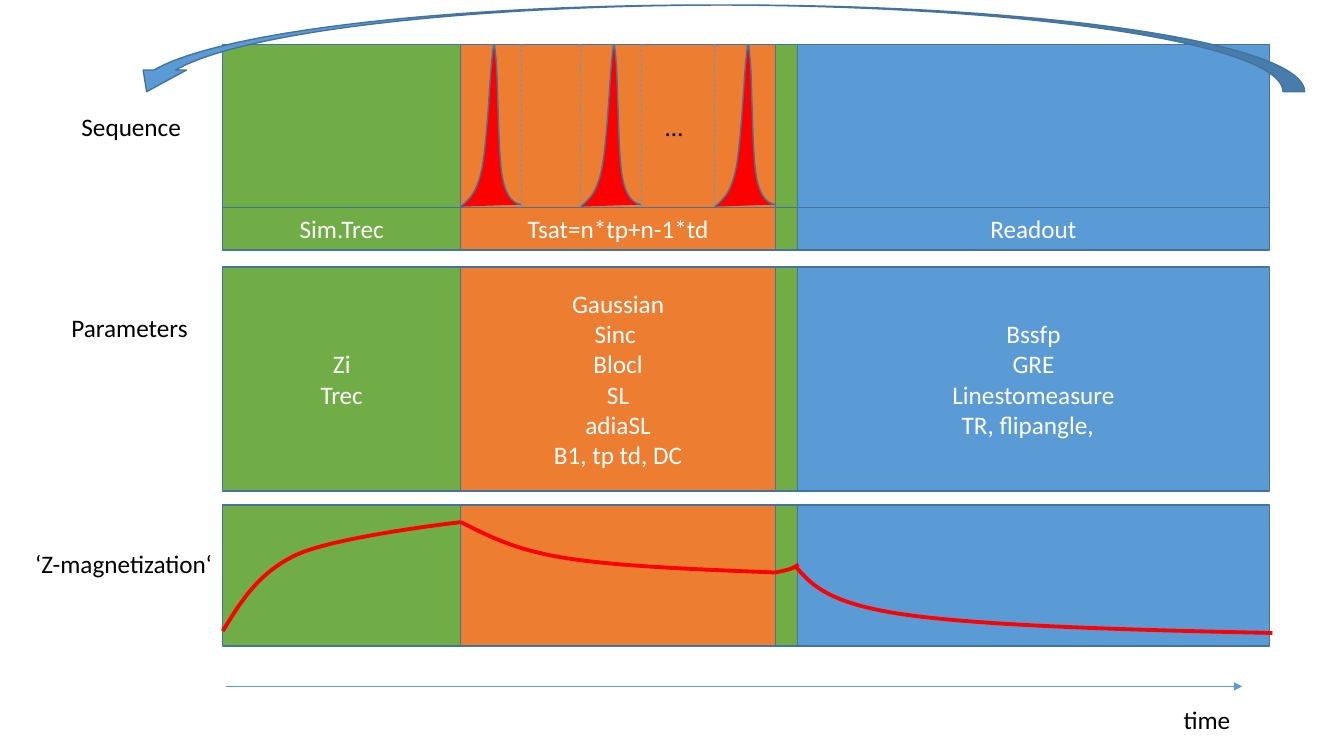
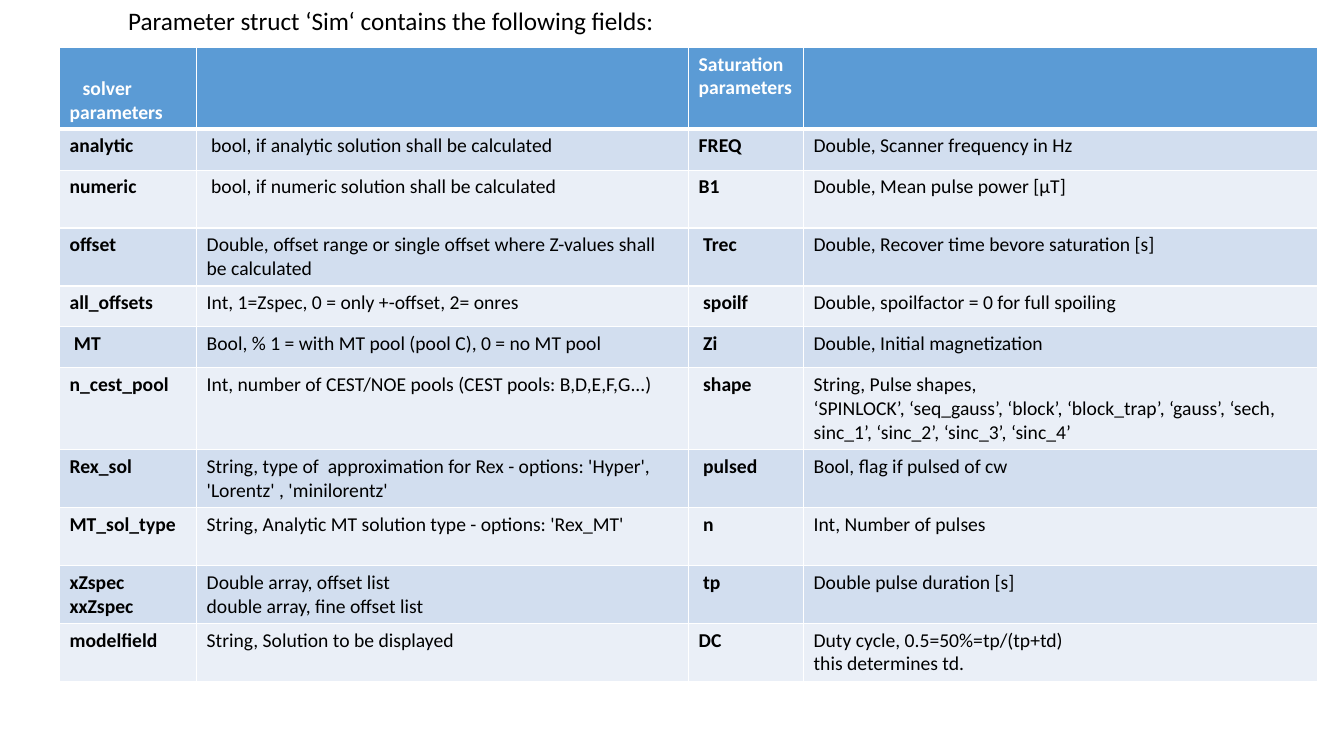
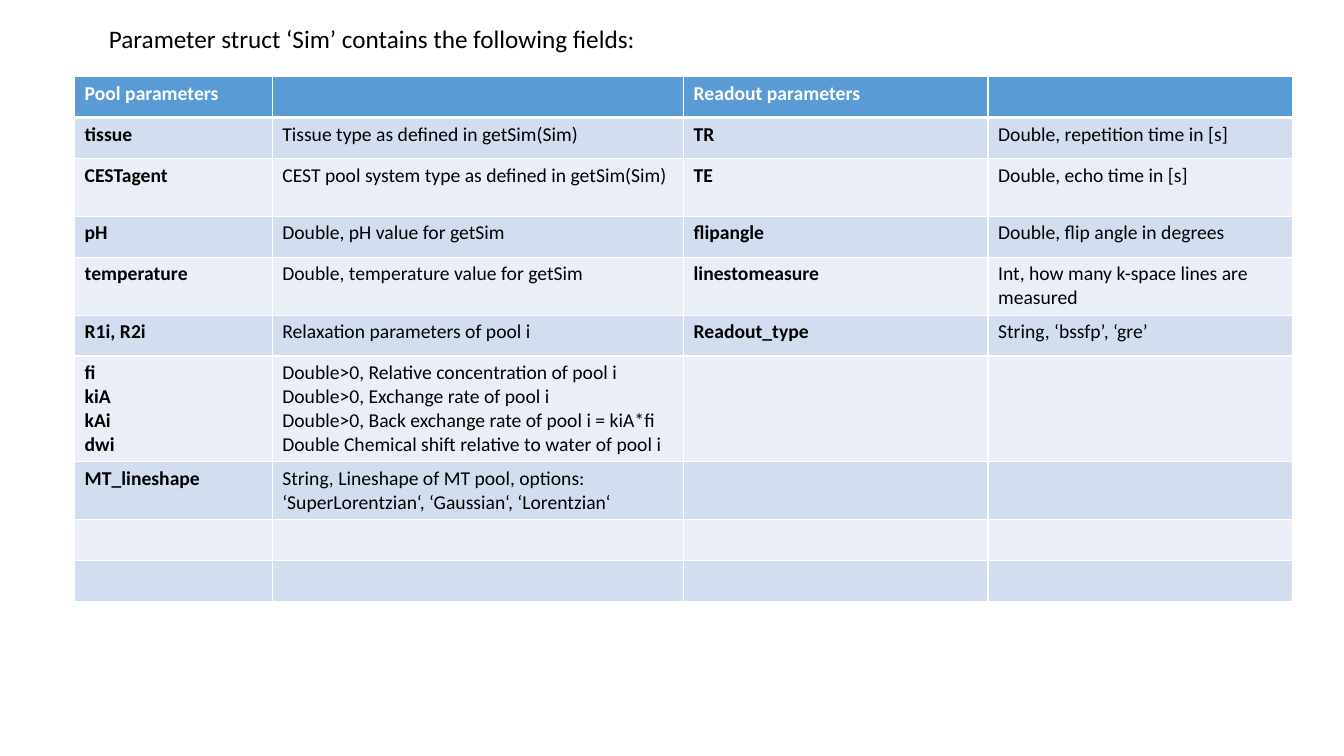
from lxml import etree
from pptx import Presentation
from pptx.dml.color import RGBColor
from pptx.enum.dml import MSO_LINE
from pptx.enum.shapes import MSO_CONNECTOR, MSO_SHAPE
from pptx.enum.text import MSO_ANCHOR, MSO_AUTO_SIZE, PP_ALIGN
from pptx.oxml.ns import qn
from pptx.util import Inches, Pt

FONT = "Calibri"
COLORS = {
    "blue": "5B9BD5", "orange": "ED7D31", "green": "70AD47", "red": "FF0000",
    "outline": "43739E", "black": "000000", "white": "FFFFFF",
    "row_dark": "D2DEEF", "row_light": "EAEFF7",
}
TITLE_ONLY, BLANK = 5, 6  # layouts of the template

# Phases of the sequence: left, width, colour
PHASES = [(2.21, 2.36, "green"), (4.57, 3.12, "orange"),
          (7.69, 0.22, "green"), (7.91, 4.68, "blue")]

# Bezier points: start, then two controls and an end for each segment
PULSE = [(0, 0), (.08, -.07), (.16, -.13), (.21, -.38),
         (.26, -.63), (.29, -1.29), (.31, -1.47),
         (.33, -1.65), (.33, -1.66), (.35, -1.46),
         (.37, -1.27), (.37, -.55), (.41, -.31),
         (.45, -.07), (.54, -.03), (.6, -.02)]
# One curve for each phase, relative to the corner of its cell
MAGNETIZATION = [
    [(0, 1.25), (.18, .96), (.35, .67), (.74, .49),
     (1.14, .31), (2.36, .17), (2.36, .17)],
    [(0, .17), (.28, .31), (.54, .45), (1.06, .53),
     (1.58, .61), (2.35, .64), (3.12, .67)],
    [(0, .67), (.05, .66), (.09, .65), (.13, .64),
     (.17, .63), (.2, .61), (.23, .59)],
    [(-.02, .61), (.14, .79), (.3, .98), (1.08, 1.09),
     (1.87, 1.2), (3.29, 1.24), (4.71, 1.27)],
]

SOLVER_ROWS = [  # text lines in the row, then its cells
    (3, "solver parameters", "", "Saturation parameters", ""),
    (1, "analytic", " bool, if analytic solution shall be calculated",
     "FREQ", "Double, Scanner frequency in Hz"),
    (2, "numeric", " bool, if numeric solution shall be calculated",
     "B1", "Double, Mean pulse power [µT]"),
    (2, "offset", "Double, offset range or single offset where Z-values shall be calculated",
     " Trec", "Double, Recover time bevore saturation [s]"),
    (1, "all_offsets", "Int, 1=Zspec, 0 = only +-offset, 2= onres",
     " spoilf", "Double, spoilfactor = 0 for full spoiling"),
    (1, " MT", "Bool, % 1 = with MT pool (pool C), 0 = no MT pool",
     " Zi", "Double, Initial magnetization"),
    (3, "n_cest_pool", "Int, number of CEST/NOE pools (CEST pools: B,D,E,F,G...)",
     " shape", "String, Pulse shapes,\n‘SPINLOCK’, ‘seq_gauss’, ‘block’, ‘block_trap’, "
     "‘gauss’, ‘sech, sinc_1’, ‘sinc_2’, ‘sinc_3’, ‘sinc_4’"),
    (2, "Rex_sol", "String, type of  approximation for Rex - options: 'Hyper', "
     "'Lorentz' , 'minilorentz'", " pulsed", "Bool, flag if pulsed of cw"),
    (2, "MT_sol_type", "String, Analytic MT solution type - options: 'Rex_MT'",
     " n", "Int, Number of pulses"),
    (2, "xZspec\nxxZspec", "Double array, offset list\vdouble array, fine offset list",
     " tp", "Double pulse duration [s]"),
    (2, "modelfield", "String, Solution to be displayed",
     "DC", "Duty cycle, 0.5=50%=tp/(tp+td)\vthis determines td."),
]
POOL_ROWS = [
    (1, "Pool parameters", "", "Readout parameters", ""),
    (1, "tissue", "Tissue type as defined in getSim(Sim)",
     "TR", "Double, repetition time in [s]"),
    (2, "CESTagent", "CEST pool system type as defined in getSim(Sim)",
     "TE", "Double, echo time in [s]"),
    (1, "pH", "Double, pH value for getSim", "flipangle", "Double, flip angle in degrees"),
    (2, "temperature", "Double, temperature value for getSim",
     "linestomeasure", "Int, how many k-space lines are measured"),
    (1, "R1i, R2i", "Relaxation parameters of pool i",
     "Readout_type", "String, ‘bssfp’, ‘gre’"),
    (4, "fi\nkiA\nkAi\ndwi", "Double>0, Relative concentration of pool i\n"
     "Double>0, Exchange rate of pool i\n"
     "Double>0, Back exchange rate of pool i = kiA*fi\n"
     "Double Chemical shift relative to water of pool i", "", ""),
    (2, "MT_lineshape", "String, Lineshape of MT pool, options: "
     "‘SuperLorentzian‘, ‘Gaussian‘, ‘Lorentzian‘", "", ""),
    (1, "", "", "", ""),
    (1, "", "", "", ""),
]


def rgb(name):
    return RGBColor.from_string(COLORS[name])


def write(frame, text, size=18, color="black", bold=False, align=PP_ALIGN.LEFT):
    frame.text = text
    for paragraph in frame.paragraphs:
        paragraph.alignment = align
        for run in paragraph.runs:
            font = run.font
            font.name, font.size, font.bold = FONT, Pt(size), bold
            font.color.rgb = rgb(color)


def paint(shape, fill=None, line="outline", weight=1):
    shape.shadow.inherit = False
    if fill:
        shape.fill.solid()
        shape.fill.fore_color.rgb = rgb(fill)
    else:
        shape.fill.background()
    shape.line.color.rgb = rgb(line)
    shape.line.width = Pt(weight)


def add_label(slide, text, left, top, width):
    box = slide.shapes.add_textbox(Inches(left), Inches(top), Inches(width), Inches(0.4))
    write(box.text_frame, text)
    box.text_frame.word_wrap = False


def add_rule(slide, start, end, dashed=False, arrow=False):
    rule = slide.shapes.add_connector(
        MSO_CONNECTOR.STRAIGHT, *(Inches(v) for v in (*start, *end)))
    rule.line.color.rgb = rgb("blue")
    rule.line.width = Pt(0.5)
    if dashed:
        rule.line.dash_style = MSO_LINE.DASH
    if arrow:
        etree.SubElement(rule.line._get_or_add_ln(), qn("a:tailEnd"), type="triangle")
    etree.SubElement(rule._element.spPr, qn("a:effectLst"))


def add_curve(slide, left, top, points, **style):
    start, *rest = [(Inches(left + x), Inches(top + y)) for x, y in points]
    builder = slide.shapes.build_freeform(*start)
    builder.add_line_segments(rest, close=False)
    curve = builder.convert_to_shape()
    # Join every three straight segments into one Bezier segment
    segments = list(curve._element.iter(qn("a:lnTo")))
    outline = segments[0].getparent()
    for i in range(0, len(segments), 3):
        bezier = etree.SubElement(outline, qn("a:cubicBezTo"))
        for segment in segments[i:i + 3]:
            bezier.append(segment[0])
            outline.remove(segment)
    paint(curve, **style)


def add_band(slide, top, height, texts=("", "", "", "")):
    """One row of the diagram with a cell for each phase."""
    for (left, width, color), text in zip(PHASES, texts):
        cell = slide.shapes.add_shape(
            MSO_SHAPE.RECTANGLE, Inches(left), Inches(top), Inches(width), Inches(height))
        paint(cell, color)
        if text:
            write(cell.text_frame, text, color="white", align=PP_ALIGN.CENTER)
            cell.text_frame.vertical_anchor = MSO_ANCHOR.MIDDLE


def add_sequence(slide, top):
    add_band(slide, top, 1.62)
    base = top + 1.61
    for left in (4.57, 5.76, 7.09):
        add_curve(slide, left, base, PULSE, fill="red")
    for x in (5.17, 5.76, 6.36, 7.09):
        add_rule(slide, (x, base), (x, top), dashed=True)
    add_label(slide, "…", 6.5, top + 0.62, 0.38)
    add_label(slide, "Sequence", 0.71, top + 0.62, 1.2)
    add_band(slide, top + 1.62, 0.42, ("Sim.Trec", "Tsat=n*tp+n-1*td", "", "Readout"))


def add_parameters(slide, top):
    add_band(slide, top, 2.22, (
        "Zi\nTrec", "Gaussian\nSinc \nBlocl\nSL\nadiaSL\nB1, tp td, DC", "",
        "Bssfp\nGRE\nLinestomeasure\nTR, flipangle,  "))
    add_label(slide, "Parameters", 0.61, top + 0.4, 1.37)


def add_magnetization(slide, top):
    add_band(slide, top, 1.4)
    for (left, _, _), curve in zip(PHASES, MAGNETIZATION):
        add_curve(slide, left, top, curve, line="red", weight=2.75)
    add_label(slide, "‘Z-magnetization‘", 0.25, top + 0.38, 1.98)


def add_repeat_arrow(slide, left, top, width, height):
    arrow = slide.shapes.add_shape(
        MSO_SHAPE.CURVED_DOWN_ARROW, Inches(left), Inches(top), Inches(width), Inches(height))
    paint(arrow, "blue")
    arrow._element.spPr.get_or_add_xfrm().set("flipH", "1")


def build_sequence_slide(prs):
    slide = prs.slides.add_slide(prs.slide_layouts[BLANK])
    add_sequence(slide, 0.44)
    add_parameters(slide, 2.65)
    add_magnetization(slide, 5.01)
    add_repeat_arrow(slide, 1.24, 0.05, 11.7, 0.86)
    # Time axis
    add_rule(slide, (2.24, 6.81), (12.32, 6.81), arrow=True)
    add_label(slide, "time", 11.64, 6.94, 0.67)


def add_title(slide, text, left, top):
    title = slide.shapes.title
    title.left, title.top = Inches(left), Inches(top)
    title.width, title.height = Inches(5.49), Inches(0.4)
    frame = title.text_frame
    write(frame, text)
    frame.word_wrap = False
    frame.auto_size = MSO_AUTO_SIZE.NONE
    frame.vertical_anchor = MSO_ANCHOR.TOP


def set_borders(cell, top, bottom):
    """White borders; widths in points, the sides always 1."""
    properties = cell._tc.get_or_add_tcPr()
    sides = (("a:lnL", 1), ("a:lnR", 1), ("a:lnT", top), ("a:lnB", bottom))
    for position, (side, weight) in enumerate(sides):
        border = etree.Element(qn(side), w=str(Pt(weight)))
        fill = etree.SubElement(border, qn("a:solidFill"))
        etree.SubElement(fill, qn("a:srgbClr"), val=COLORS["white"])
        properties.insert(position, border)


def add_field_table(slide, left, top, widths, rows):
    heights = [Pt(max(29.2, 7.2 + 17.1 * lines)) for lines, *_ in rows]
    table = slide.shapes.add_table(
        len(rows), len(widths), Inches(left), Inches(top),
        Inches(sum(widths)), sum(heights)).table
    for column, width in zip(table.columns, widths):
        column.width = Inches(width)
    for r, (_, *texts) in enumerate(rows):
        table.rows[r].height = heights[r]
        header = r == 0
        fill = "blue" if header else "row_dark" if r % 2 else "row_light"
        for c, text in enumerate(texts):
            cell = table.cell(r, c)
            cell.fill.solid()
            cell.fill.fore_color.rgb = rgb(fill)
            set_borders(cell, 3 if r == 1 else 1, 3 if header else 1)
            if text:
                write(cell.text_frame, text, 14, "white" if header else "black",
                      bold=c % 2 == 0)
    return table


def build_field_slide(prs, title, title_at, table_at, widths, rows):
    slide = prs.slides.add_slide(prs.slide_layouts[TITLE_ONLY])
    add_title(slide, title, *title_at)
    return add_field_table(slide, *table_at, widths, rows)


def main():
    prs = Presentation()
    prs.slide_width, prs.slide_height = Inches(13.33), Inches(7.5)
    build_sequence_slide(prs)
    solver_table = build_field_slide(
        prs, "Parameter struct ‘Sim‘ contains the following fields:",
        (1.17, 0), (0.59, 0.47), (1.36, 4.88, 1.14, 5.1), SOLVER_ROWS)
    # The solver heading sits low, with its first line indented
    solver_heading = solver_table.cell(0, 0)
    solver_heading.vertical_anchor = MSO_ANCHOR.BOTTOM
    heading_format = solver_heading.text_frame.paragraphs[0]._p.get_or_add_pPr()
    heading_format.set("indent", str(Inches(0.13)))
    build_field_slide(
        prs, "Parameter struct ‘Sim’ contains the following fields:",
        (0.98, 0.18), (0.74, 0.76), (1.96, 4.08, 3.02, 3.02), POOL_ROWS)
    prs.save("out.pptx")


if __name__ == "__main__":
    main()
